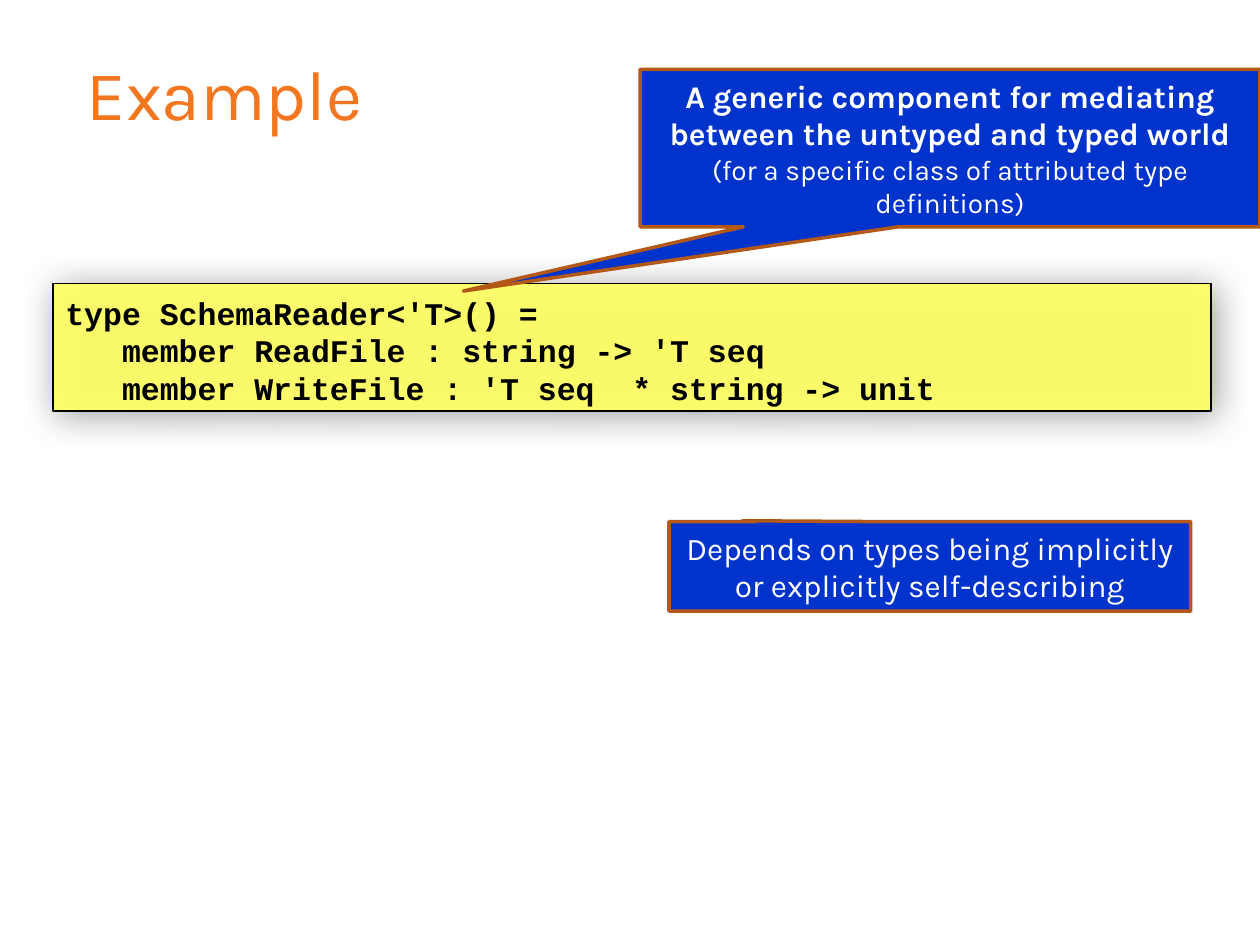
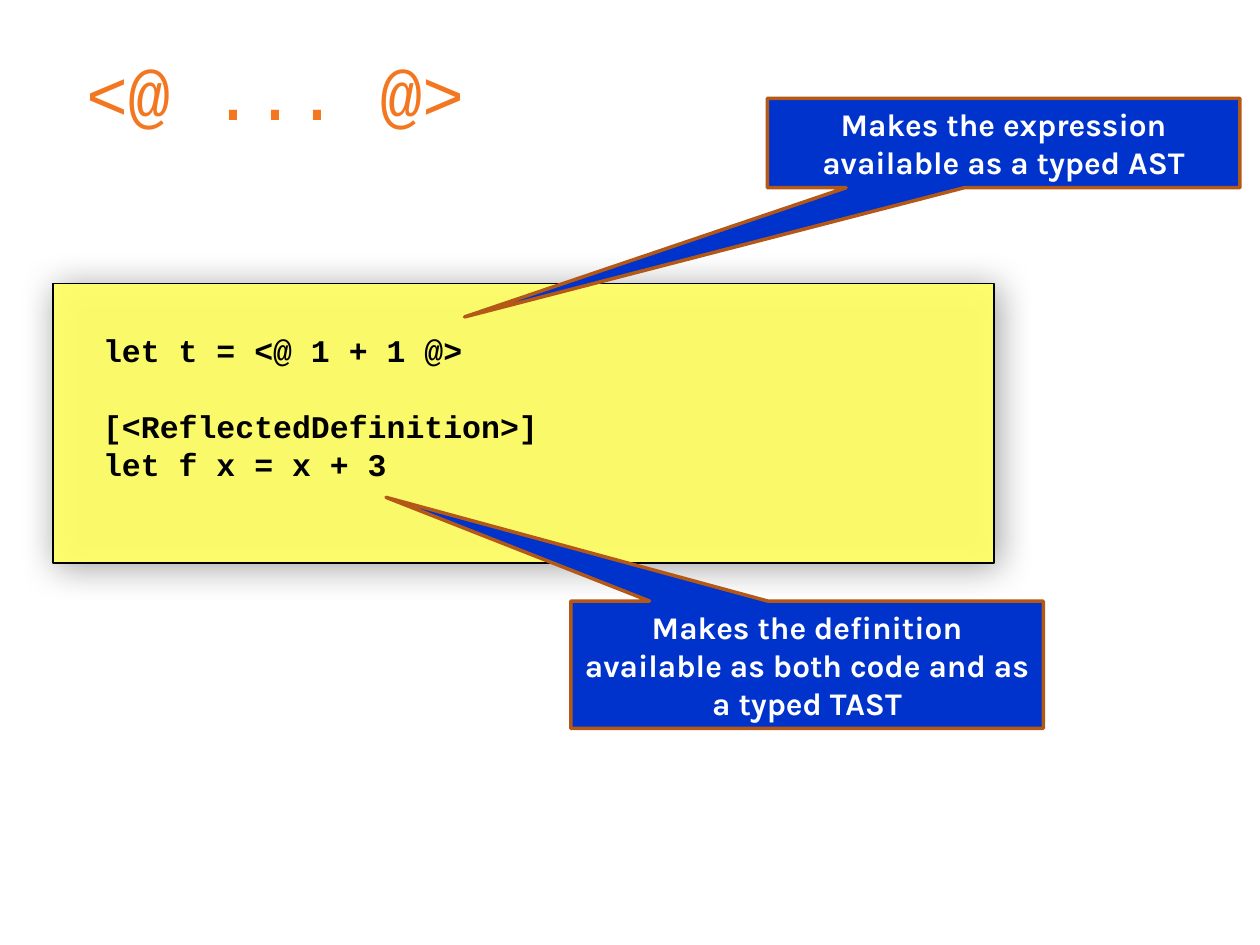
from dataclasses import dataclass

from lxml import etree
from pptx import Presentation
from pptx.dml.color import RGBColor
from pptx.enum.shapes import MSO_SHAPE
from pptx.enum.text import MSO_ANCHOR, MSO_AUTO_SIZE, PP_ALIGN
from pptx.oxml.ns import qn
from pptx.util import Inches, Pt

RECT = MSO_SHAPE.RECTANGLE
CALLOUT = MSO_SHAPE.RECTANGULAR_CALLOUT
TOP, MIDDLE = MSO_ANCHOR.TOP, MSO_ANCHOR.MIDDLE
LEFT, CENTER = PP_ALIGN.LEFT, PP_ALIGN.CENTER
NO_AUTOFIT = MSO_AUTO_SIZE.NONE

TITLE_ONLY = 5
ORANGE, BLUE, RUST = "F37720", "0033CC", "B45818"
YELLOW, BLACK, WHITE = "FFFF66", "000000", "FFFFFF"
BODY_FONT, CODE_FONT = "Karla", "Courier New"
TITLE_SIZE, TEXT_SIZE = 40, 18
LINE_FACTOR = 1.2


@dataclass
class CodeBox:
    width: float
    height: float
    lines: list[str]
    inset_top: float = 0.08


@dataclass
class Line:
    text: str
    size: int = TEXT_SIZE
    bold: bool = True


@dataclass
class Callout:
    left: float
    top: float
    width: float
    height: float
    tip: tuple[float, float]
    lines: list[Line]


@dataclass
class Page:
    title: str
    title_font: str
    code: CodeBox
    callouts: list[Callout]


PAGES = [
    Page(
        "Example",
        BODY_FONT,
        CodeBox(9.19, 1.01, [
            "type SchemaReader<'T>() =",
            "   member ReadFile : string -> 'T seq",
            "   member WriteFile : 'T seq  * string -> unit",
        ]),
        [
            Callout(5.31, 4.14, 4.14, 0.71, (-0.36, -0.51), [
                Line("Depends on types being implicitly or explicitly self-describing", bold=False),
            ]),
            Callout(5.08, 0.55, 4.92, 1.25, (-0.785, 0.908), [
                Line("A generic component for mediating between the untyped and typed world"),
                Line("(for a specific class of attributed type definitions)", 16, False),
            ]),
        ],
    ),
    Page(
        "<@ ... @>",
        CODE_FONT,
        CodeBox(7.47, 2.22, [
            "  let t = <@ 1 + 1 @>",
            "",
            "  [<ReflectedDefinition>]",
            "  let f x = x + 3",
        ], inset_top=0.38),
        [
            Callout(6.09, 0.78, 3.75, 0.71, (-1.141, 1.945), [
                Line("Makes the expression available as a typed AST"),
            ]),
            Callout(4.53, 4.77, 3.75, 1.01, (-0.891, -1.315), [
                Line("Makes the definition available as both code and as a typed TAST"),
            ]),
        ],
    ),
]


def rgb(value: str) -> RGBColor:
    return RGBColor.from_string(value)


def style(p, font: str, size: int, color: str, bold: bool = False, align=LEFT) -> None:
    p.alignment = align
    p.line_spacing = Pt(size * LINE_FACTOR)
    p.font.name, p.font.size, p.font.bold = font, Pt(size), bold
    p.font.color.rgb = rgb(color)


def add_box(s, shape, left: float, top: float, width: float, height: float,
            fill: str, line: str, weight: float, anchor):
    sp = s.shapes.add_shape(shape, Inches(left), Inches(top), Inches(width), Inches(height))
    sp.shadow.inherit = False
    sp.fill.solid()
    sp.fill.fore_color.rgb = rgb(fill)
    sp.line.color.rgb = rgb(line)
    sp.line.width = Pt(weight)
    sp.text_frame.word_wrap = True
    sp.text_frame.vertical_anchor = anchor
    return sp


def next_paragraph(tf, index: int):
    return tf.add_paragraph() if index else tf.paragraphs[0]


def set_alpha(color, percent: int) -> None:
    etree.SubElement(color, qn("a:alpha"), val=str(percent * 1000))


def add_soft_shadow(sp) -> None:
    effects = sp._element.spPr.find(qn("a:effectLst"))
    shadow = etree.SubElement(effects, qn("a:outerShdw"), blurRad=str(Pt(21)),
                              dist=str(Pt(3)), dir=str(45 * 60000), rotWithShape="0")
    set_alpha(etree.SubElement(shadow, qn("a:srgbClr"), val=BLACK), 40)


def add_title(s, text: str, font: str) -> None:
    sp = s.shapes.title
    sp.left, sp.top, sp.width, sp.height = map(Inches, (0.59, 0.31, 8.8, 1.25))
    tf = sp.text_frame
    tf.text = text
    tf.auto_size = NO_AUTOFIT
    tf.vertical_anchor = TOP
    tf.margin_top = Inches(0.09)
    style(tf.paragraphs[0], font, TITLE_SIZE, ORANGE)


def add_code(s, code: CodeBox) -> None:
    sp = add_box(s, RECT, 0.42, 2.25, code.width, code.height, YELLOW, BLACK, 1, TOP)
    set_alpha(sp._element.spPr.find(qn("a:solidFill"))[0], 94)
    add_soft_shadow(sp)
    tf = sp.text_frame
    tf.margin_top = Inches(code.inset_top)
    gap = 0
    for i, text in enumerate(filter(None, code.lines)):
        p = next_paragraph(tf, i)
        p.text = text
        style(p, CODE_FONT, TEXT_SIZE, BLACK, True)
        position = code.lines.index(text)
        gap = TEXT_SIZE * LINE_FACTOR if position and not code.lines[position - 1] else 0
        p.space_before = Pt(gap)


def add_callout(s, callout: Callout) -> None:
    sp = add_box(s, CALLOUT, callout.left, callout.top, callout.width, callout.height,
                 BLUE, RUST, 2, MIDDLE)
    sp.adjustments[0], sp.adjustments[1] = callout.tip
    for i, line in enumerate(callout.lines):
        p = next_paragraph(sp.text_frame, i)
        p.text = line.text
        style(p, BODY_FONT, line.size, WHITE, line.bold, CENTER)


def main() -> None:
    """Build the slides about typed schemas and quotations."""
    prs = Presentation()
    prs.slide_width, prs.slide_height = Inches(10), Inches(7.5)
    for page in PAGES:
        s = prs.slides.add_slide(prs.slide_layouts[TITLE_ONLY])
        add_title(s, page.title, page.title_font)
        add_code(s, page.code)
        for callout in page.callouts:
            add_callout(s, callout)
    prs.save("out.pptx")


if __name__ == "__main__":
    main()
